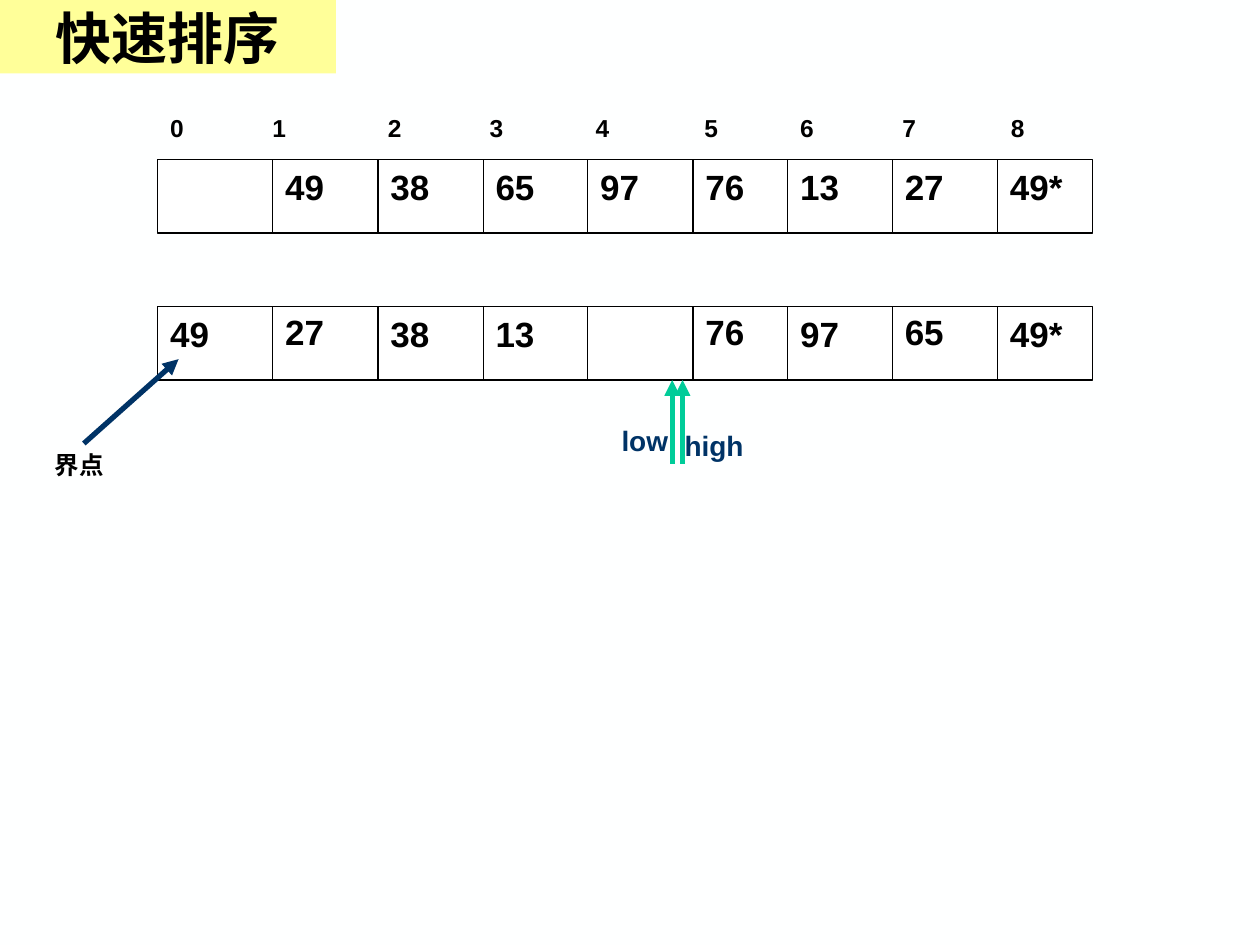
"""Build a slide showing one partition step of quicksort on two arrays."""
from dataclasses import dataclass
from itertools import accumulate

import lxml.etree
import pptx
import pptx.dml.color
import pptx.enum.dml
import pptx.enum.shapes
import pptx.enum.text
import pptx.oxml.ns
import pptx.util

Cm = pptx.util.Cm
Pt = pptx.util.Pt
qn = pptx.oxml.ns.qn

BLACK, WHITE, NAVY, GREEN = "000000", "FFFFFF", "003366", "00CC99"
EDGES = list(accumulate([3.18, 2.32, 2.12, 2.12, 2.11, 2.12, 1.91, 2.11, 2.12, 1.91]))
TALL = 1.48
LIFT = 0.04
TABS = [2.06, 4.39, 6.44, 8.58, 10.77, 12.7, 14.76, 16.95]


@dataclass
class Row:
    top: float
    cells: list[str]
    raised: tuple[int, ...] = ()


@dataclass
class Label:
    text: str
    left: float
    top: float
    width: float
    height: float
    size: float
    color: str = BLACK


@dataclass
class Line:
    start: tuple[float, float]
    end: tuple[float, float]
    color: str = BLACK
    width: float = 0.75
    arrow: bool = False


@dataclass
class Mark:
    label: Label
    line: Line


ROWS = [
    Row(6.18, ["49", "27", "38", "13", "", "76", "97", "65", "49*"], (1, 5, 7)),
    Row(3.22, ["", "49", "38", "65", "97", "76", "13", "27", "49*"]),
]
MARKS = [
    Mark(Label("high", 13.55, 8.51, 2.33, 0.94, 16, NAVY),
         Line((13.76, 9.35), (13.76, 7.66), GREEN, 3, True)),
    Mark(Label("low", 12.28, 8.42, 2.33, 0.94, 16, NAVY),
         Line((13.55, 9.35), (13.55, 7.66), GREEN, 3, True)),
]
PIVOT = Mark(Label("界点", 0.85, 8.95, 2.12, 0.85, 14),
             Line((1.69, 8.94), (3.6, 7.24), NAVY, 3, True))


def put(item, **vals) -> None:
    """Set each named value on the item."""
    for name, val in vals.items():
        setattr(item, name, val)


def rgb(code: str) -> pptx.dml.color.RGBColor:
    """Turn a hex string into a colour."""
    return pptx.dml.color.RGBColor.from_string(code)


def paint(fill, code: str) -> None:
    """Make a fill solid in the given colour."""
    fill.solid()
    fill.fore_color.rgb = rgb(code)


def style(font, face: str, size: float, color: str) -> None:
    """Format a bold font."""
    put(font, name=face, size=Pt(size), bold=True)
    font.color.rgb = rgb(color)


def write(shapes, label: Label):
    """Draw a text label and return its paragraph."""
    spot = (label.left, label.top, label.width, label.height)
    frame = shapes.add_textbox(*map(Cm, spot)).text_frame
    put(frame, word_wrap=True,
        auto_size=pptx.enum.text.MSO_AUTO_SIZE.SHAPE_TO_FIT_TEXT)
    para = frame.paragraphs[0]
    run = para.add_run()
    run.text = label.text
    style(run.font, "Arial", label.size, label.color)
    return para


def rule(shapes, line: Line) -> None:
    """Draw a straight line, with an arrowhead at its end if asked."""
    link = shapes.add_connector(
        pptx.enum.shapes.MSO_CONNECTOR.STRAIGHT,
        *map(Cm, line.start + line.end))
    link.line.width = Pt(line.width)
    paint(link.line.fill, line.color)
    if line.arrow:
        lxml.etree.SubElement(link.line._get_or_add_ln(), qn("a:tailEnd"), type="triangle")
    lxml.etree.SubElement(link._element.spPr, qn("a:effectLst"))


def grid(shapes, row: Row) -> None:
    """Draw an array frame with its dividers."""
    group = shapes.add_group_shape().shapes
    box = group.add_shape(
        pptx.enum.shapes.MSO_SHAPE.RECTANGLE,
        *map(Cm, (EDGES[0], row.top, EDGES[-1] - EDGES[0], TALL)))
    box.shadow.inherit = False
    paint(box.fill, WHITE)
    paint(box.line.fill, BLACK)
    box.line.width = Pt(0.75)
    for edge in EDGES[1:-1]:
        rule(group, Line((edge, row.top), (edge, row.top + TALL)))


def fill(shapes, row: Row) -> None:
    """Write the values of an array."""
    for col, text in enumerate(row.cells):
        if text:
            top = row.top - LIFT * (col in row.raised)
            write(shapes, Label(text, EDGES[col], top, 1.69, 1.11, 20))


def index(shapes) -> None:
    """Write the index numbers on tab stops."""
    text = "\t".join(map(str, range(9)))
    para = write(shapes, Label(text, EDGES[0], 2.16, 18.84, 0.85, 14))
    stops = lxml.etree.SubElement(para._p.get_or_add_pPr(), qn("a:tabLst"))
    for stop in TABS:
        lxml.etree.SubElement(stops, qn("a:tab"), pos=str(int(Cm(stop))), algn="l")


def point(shapes, mark: Mark) -> None:
    """Draw an arrow with its label."""
    rule(shapes, mark.line)
    write(shapes, mark.label)


def head(title) -> None:
    """Place and format the title."""
    put(title, left=Cm(0), top=Cm(0), width=Cm(6.77), height=Cm(1.48))
    paint(title.fill, "FFFF99")
    frame = title.text_frame
    frame.text = "快速排序"
    put(frame, word_wrap=True,
        auto_size=pptx.enum.text.MSO_AUTO_SIZE.NONE,
        vertical_anchor=pptx.enum.text.MSO_ANCHOR.MIDDLE)
    para = frame.paragraphs[0]
    para.alignment = pptx.enum.text.PP_ALIGN.CENTER
    style(para.runs[0].font, "Times New Roman", 32, BLACK)


def main() -> None:
    """Build and save the slide."""
    deck = pptx.Presentation()
    put(deck, slide_width=Cm(25.4), slide_height=Cm(19.05))
    slide = deck.slides.add_slide(deck.slide_layouts[5])
    paint(slide.background.fill, "FEFFFF")
    shapes = slide.shapes
    head(shapes.title)
    for row in ROWS:
        grid(shapes, row)
    index(shapes)
    for row in ROWS:
        fill(shapes, row)
    for mark in MARKS:
        point(shapes.add_group_shape().shapes, mark)
    point(shapes, PIVOT)
    deck.save("out.pptx")


if __name__ == "__main__":
    main()
